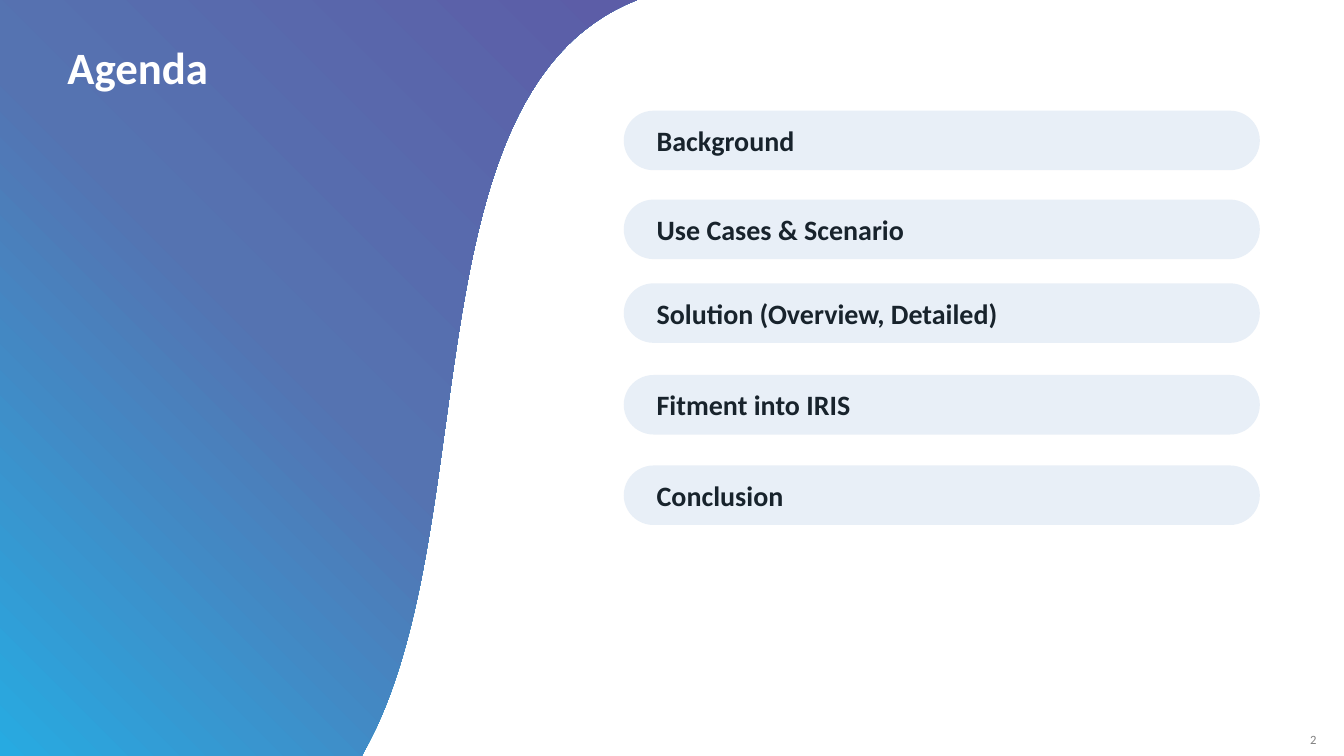
"""Build the agenda slide."""
from copy import deepcopy
from dataclasses import dataclass

from pptx import Presentation
from pptx.dml.color import RGBColor
from pptx.enum.shapes import MSO_SHAPE as Shape
from pptx.enum.text import MSO_ANCHOR as Anchor, MSO_AUTO_SIZE as AutoSize, PP_ALIGN as Align
from pptx.oxml.ns import qn
from pptx.util import Cm, Pt

SLIDE_WIDTH, SLIDE_HEIGHT = 33.87, 19.05


@dataclass(frozen=True)
class Theme:
    font: str = "Calibri"
    title_size: int = 32
    item_size: int = 20
    number_size: int = 9
    title_color: str = "FFFFFF"
    item_color: str = "18232C"
    number_color: str = "808080"
    pill_color: str = "E8EFF7"
    gradient: tuple = ((0, "27AAE1"), (0.5, "5573B1"), (0.99, "5C5DA7"))
    gradient_angle: int = 45


def bezier(start, first, second, end, steps=60):
    for step in range(1, steps + 1):
        t = step / steps
        weights = ((1 - t) ** 3, 3 * t * (1 - t) ** 2, 3 * t * t * (1 - t), t ** 3)
        yield tuple(
            sum(weight * value for weight, value in zip(weights, values))
            for values in zip(start, first, second, end)
        )


class AgendaSlide:
    def __init__(self, presentation, theme):
        self.theme = theme
        self.slide = presentation.slides.add_slide(presentation.slide_layouts[5])

    def set_text(self, shape, text, size, color, align=Align.LEFT, bold=False, margins=(0.25, 0.13)):
        frame = shape.text_frame
        frame.text = text
        frame.word_wrap = True
        frame.vertical_anchor = Anchor.MIDDLE
        frame.margin_left = frame.margin_right = Cm(margins[0])
        frame.margin_top = frame.margin_bottom = Cm(margins[1])
        paragraph = frame.paragraphs[0]
        paragraph.alignment = align
        font = paragraph.runs[0].font
        font.name, font.size, font.bold = self.theme.font, Pt(size), bold
        font.color.rgb = RGBColor.from_string(color)
        return paragraph

    def title(self, text, left, top, width, height):
        title = self.slide.shapes.title
        title.left, title.top, title.width, title.height = map(Cm, (left, top, width, height))
        self.set_text(title, text, self.theme.title_size, self.theme.title_color,
                      bold=True, margins=(0, 0))
        title.text_frame.auto_size = AutoSize.SHAPE_TO_FIT_TEXT

    def wave_panel(self, start, first, second, end):
        outline = [*bezier(start, first, second, end), (9.12, SLIDE_HEIGHT), (0, SLIDE_HEIGHT)]
        builder = self.slide.shapes.build_freeform(0, 0)
        builder.add_line_segments([(Cm(x), Cm(y)) for x, y in (start, *outline)], close=True)
        panel = builder.convert_to_shape()
        panel.shadow.inherit = False
        panel.line.fill.background()
        self.gradient(panel)
        self.slide.shapes.title.element.addprevious(panel.element)

    def gradient(self, shape):
        shape.fill.gradient()
        shape.fill.gradient_angle = self.theme.gradient_angle
        stop_list = next(shape.element.iter(qn("a:gsLst")))
        stop_list.append(deepcopy(stop_list[-1]))
        for stop, (position, color) in zip(shape.fill.gradient_stops, self.theme.gradient):
            stop.position = position
            stop.color.rgb = RGBColor.from_string(color)

    def pill(self, text, left, top, width, height):
        pill = self.slide.shapes.add_shape(
            Shape.ROUNDED_RECTANGLE, *map(Cm, (left, top, width, height)))
        pill.adjustments[0] = 0.5
        pill.shadow.inherit = False
        pill.fill.solid()
        pill.fill.fore_color.rgb = RGBColor.from_string(self.theme.pill_color)
        pill.line.fill.background()
        paragraph = self.set_text(pill, text, self.theme.item_size, self.theme.item_color, bold=True)
        properties = paragraph._p.get_or_add_pPr()
        properties.set("marL", str(int(Cm(0.36))))
        properties.set("indent", "0")

    def page_number(self, text, left, top, width, height):
        box = self.slide.shapes.add_textbox(*map(Cm, (left, top, width, height)))
        self.set_text(box, text, self.theme.number_size, self.theme.number_color, Align.CENTER)


def main():
    presentation = Presentation()
    presentation.slide_width, presentation.slide_height = Cm(SLIDE_WIDTH), Cm(SLIDE_HEIGHT)
    agenda = AgendaSlide(presentation, Theme())
    agenda.wave_panel((16.05, 0), (10.21, 2.29), (12.27, 13.46), (9.17, 18.95))
    agenda.page_number("2", 32.44, 18.42, 1.32, 0.43)
    agenda.title("Agenda", 1.7, 0.99, 10.87, 1.37)
    items = (
        ("Background", 2.79),
        ("Use Cases & Scenario", 5.03),
        ("Solution (Overview, Detailed)", 7.14),
        ("Fitment into IRIS", 9.45),
        ("Conclusion", 11.73),
    )
    for text, top in items:
        agenda.pill(text, 15.72, top, 16.03, 1.5)
    presentation.save("out.pptx")


if __name__ == "__main__":
    main()
